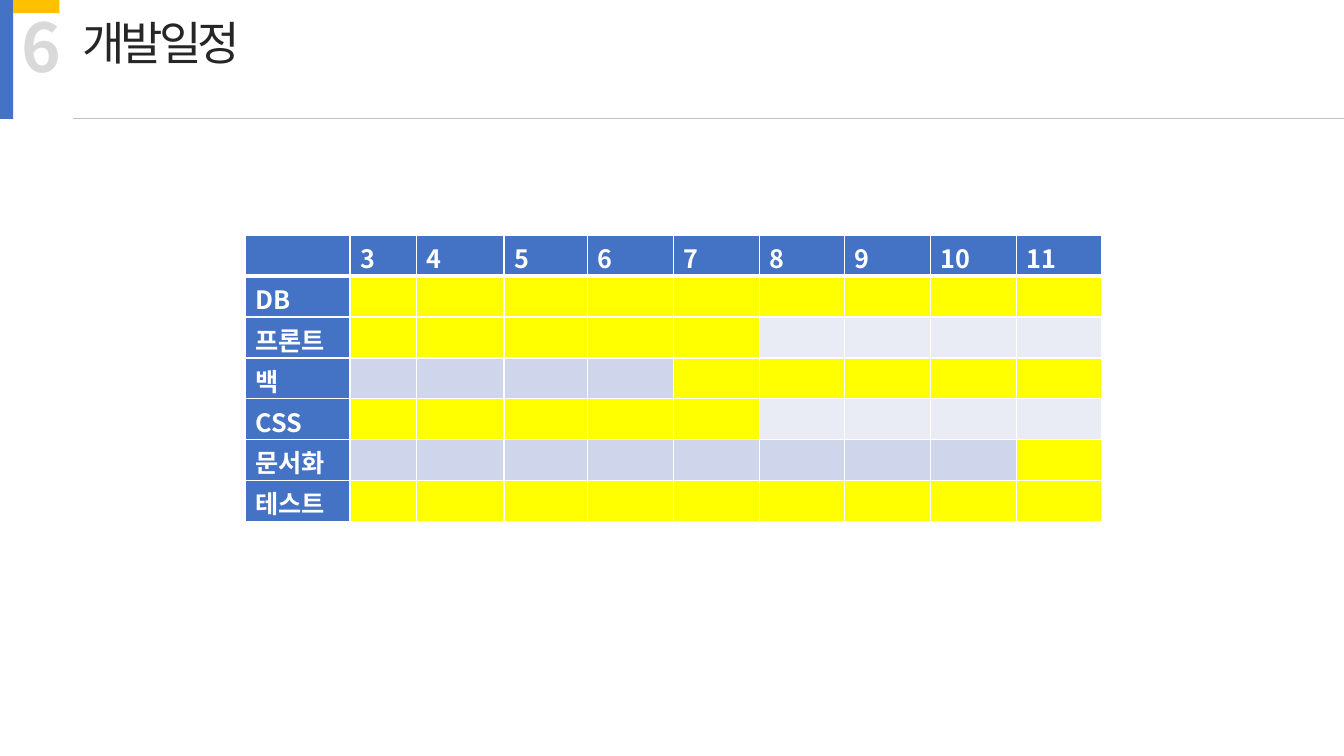
import pptx
import pptx.dml.color
import pptx.enum.shapes
import pptx.enum.text
import pptx.oxml
import pptx.oxml.ns
import pptx.util
from pptx.util import Cm

FONT = "Noto Sans CJK KR"
BLUE, GOLD, WHITE, BUSY = "4472C4", "FFC000", "FFFFFF", "FFFF00"
BANDS = ["E9EBF5", "CFD5EA"]
MONTHS = range(3, 12)
TASKS = [
    ("DB", 3, 11),
    ("프론트", 3, 7),
    ("백", 7, 11),
    ("CSS", 3, 7),
    ("문서화", 11, 11),
    ("테스트", 3, 11),
]
WIDTHS = [2.64, 1.68, 2.2, 2.11] + [2.16] * 6
ROW = 1.03


def hue(code):
    return pptx.dml.color.RGBColor.from_string(code)


def paint(item, code):
    item.fill.solid()
    item.fill.fore_color.rgb = hue(code)


def add_run(para, text, size, code, bold=False):
    run = para.add_run()
    run.text = text
    font = run.font
    font.name, font.size, font.bold = FONT, pptx.util.Pt(size), bold
    font.color.rgb = hue(code)
    east = pptx.oxml.parse_xml(
        f'<a:ea {pptx.oxml.ns.nsdecls("a")} typeface="{FONT}"/>')
    font._element.find(pptx.oxml.ns.qn("a:latin")).addnext(east)
    return run


def add_bar(slide, left, top, width, height, code):
    kind = pptx.enum.shapes.MSO_SHAPE.RECTANGLE
    bar = slide.shapes.add_shape(kind, Cm(left), Cm(top), Cm(width), Cm(height))
    bar.shadow.inherit = False
    paint(bar, code)
    bar.line.fill.background()
    return bar


def add_rule(slide, left, right, top):
    kind = pptx.enum.shapes.MSO_CONNECTOR.STRAIGHT
    rule = slide.shapes.add_connector(kind, Cm(left), Cm(top), Cm(right), Cm(top))
    rule.line.color.rgb = hue("BFBFBF")
    rule.line.width = pptx.util.Pt(0.5)
    rule._element.spPr.append(pptx.oxml.parse_xml(
        f'<a:effectLst {pptx.oxml.ns.nsdecls("a")}/>'))


def set_text(box, place, text, size, code, bold=False):
    box.left, box.top, box.width, box.height = map(Cm, place)
    frame = box.text_frame
    frame.word_wrap = False
    frame.auto_size = pptx.enum.text.MSO_AUTO_SIZE.NONE
    frame.vertical_anchor = pptx.enum.text.MSO_ANCHOR.TOP
    para = frame.paragraphs[0]
    para.alignment = pptx.enum.text.PP_ALIGN.LEFT
    para.line_spacing = 0.9
    return add_run(para, text, size, code, bold)


def set_edge(cell, side, width):
    cell._tc.get_or_add_tcPr().append(pptx.oxml.parse_xml(
        f'<a:{side} {pptx.oxml.ns.nsdecls("a")} w="{pptx.util.Pt(width)}">'
        f'<a:solidFill><a:srgbClr val="{WHITE}"/></a:solidFill></a:{side}>'))


def set_cell(cell, code, text, top=1, base=1):
    for side, width in zip(("lnL", "lnR", "lnT", "lnB"), (1, 1, top, base)):
        set_edge(cell, side, width)
    paint(cell, code)
    cell.margin_top, cell.margin_bottom = Cm(0.1), 0
    if text:
        add_run(cell.text_frame.paragraphs[0], text, 18, WHITE, True)


def add_plan(slide, left, top):
    rows = len(TASKS) + 1
    table = slide.shapes.add_table(
        rows, len(WIDTHS), Cm(left), Cm(top), Cm(sum(WIDTHS)), Cm(ROW * rows)).table
    for col, width in zip(table.columns, WIDTHS):
        col.width = Cm(width)
    for row in table.rows:
        row.height = Cm(ROW)
    for col, text in enumerate(["", *map(str, MONTHS)]):
        set_cell(table.cell(0, col), BLUE, text, base=3)
    for row, (task, first, last) in enumerate(TASKS, 1):
        edge = 3 if row == 1 else 1
        set_cell(table.cell(row, 0), BLUE, task, top=edge)
        for col, month in enumerate(MONTHS, 1):
            code = BUSY if first <= month <= last else BANDS[row % 2]
            set_cell(table.cell(row, col), code, "", top=edge)


def main():
    deck = pptx.Presentation()
    deck.slide_width, deck.slide_height = Cm(33.87), Cm(19.05)
    slide = deck.slides.add_slide(deck.slide_layouts[5])
    add_bar(slide, 0, 0, 0.33, 3, BLUE)
    add_bar(slide, 0.33, 0, 1.17, 0.33, GOLD)
    title = set_text(slide.shapes.title, (1.83, 0.38, 4.78, 1.68),
                     "개발일정", 33, "262626")
    title.font._element.set("spc", "-300")
    digit = slide.shapes.add_textbox(0, 0, 0, 0)
    set_text(digit, (0.3, 0.23, 1.5, 2.31), "6", 48, "D9D9D9", True)
    add_rule(slide, 1.83, 33.87, 2.98)
    add_plan(slide, 6.18, 5.93)
    deck.save("out.pptx")


if __name__ == "__main__":
    main()
